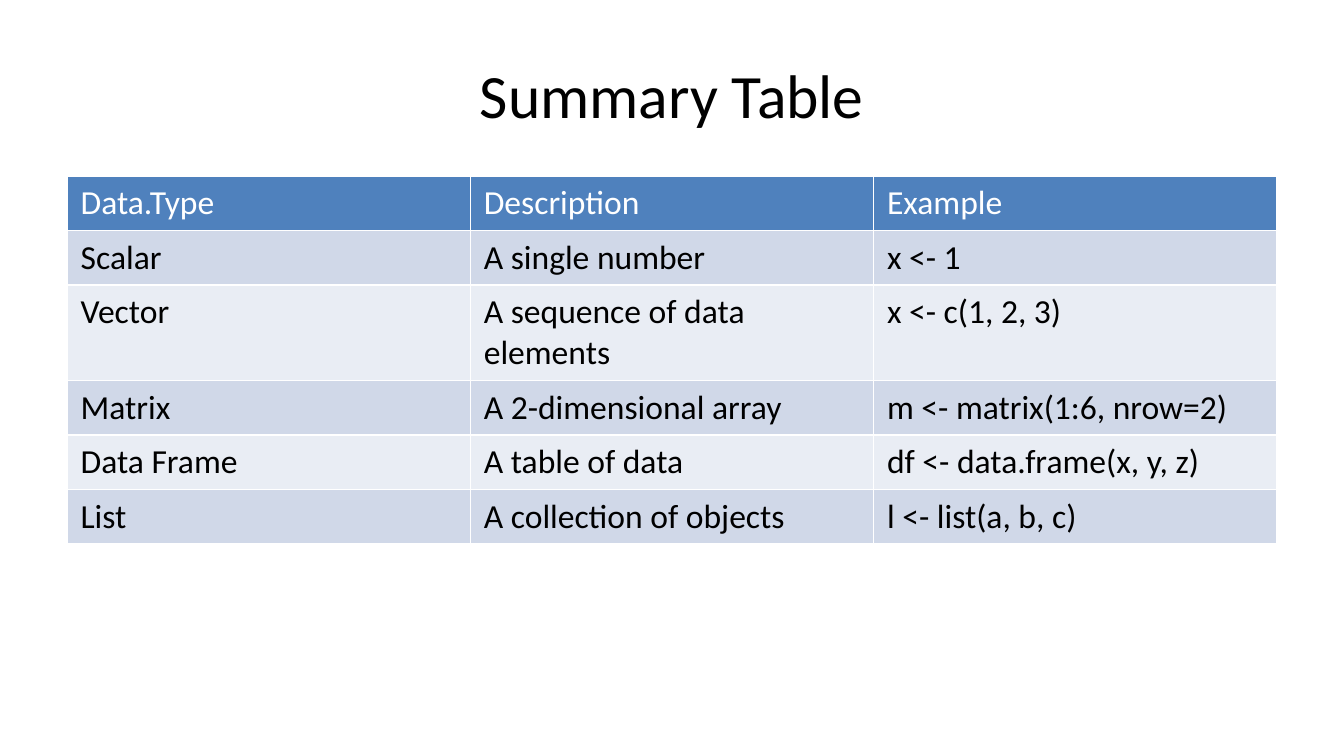
from dataclasses import dataclass

from pptx import Presentation
from pptx.dml.color import RGBColor
from pptx.enum.text import MSO_ANCHOR, PP_ALIGN
from pptx.util import Inches, Pt


@dataclass(frozen=True)
class Theme:
    font: str = "Calibri"
    title_size: int = 33
    cell_size: int = 18
    ink: str = "000000"
    header_ink: str = "FFFFFF"
    header_fill: str = "4F81BD"
    band_fills: tuple = ("D0D8E8", "E9EDF4")


THEME = Theme()
ROWS = [
    ("Data.Type", "Description", "Example"),
    ("Scalar", "A single number", "x <- 1"),
    ("Vector", "A sequence of data elements", "x <- c(1, 2, 3)"),
    ("Matrix", "A 2-dimensional array", "m <- matrix(1:6, nrow=2)"),
    ("Data Frame", "A table of data", "df <- data.frame(x, y, z)"),
    ("List", "A collection of objects", "l <- list(a, b, c)"),
]
LINE_HEIGHT = 0.3
ROW_PADDING = 0.1
TWO_LINE_ROW = 2


def format_text(frame, size, color):
    for para in frame.paragraphs:
        for span in para.runs:
            span.font.name = THEME.font
            span.font.size = Pt(size)
            span.font.bold = False
            span.font.color.rgb = RGBColor.from_string(color)


deck = Presentation()
deck.slide_width = Inches(10)
deck.slide_height = Inches(10 * 9 / 16)
page = deck.slides.add_slide(deck.slide_layouts[5])

title = page.shapes.title
title.left, title.top = Inches(0.5), Inches(0.23)
title.width, title.height = Inches(9), Inches(0.94)
title.text_frame.text = "Summary Table"
title.text_frame.vertical_anchor = MSO_ANCHOR.MIDDLE
title.text_frame.paragraphs[0].alignment = PP_ALIGN.CENTER
format_text(title.text_frame, THEME.title_size, THEME.ink)

# The default table style supplies the white rules between cells.
summary = page.shapes.add_table(
    len(ROWS), len(ROWS[0]), Inches(0.5), Inches(1.31), Inches(9), Inches(2.7)
).table
for row_index, texts in enumerate(ROWS):
    lines = 2 if row_index == TWO_LINE_ROW else 1
    summary.rows[row_index].height = Inches(lines * LINE_HEIGHT + ROW_PADDING)
    if row_index == 0:
        fill, ink = THEME.header_fill, THEME.header_ink
    else:
        fill, ink = THEME.band_fills[(row_index - 1) % 2], THEME.ink
    for column_index, text in enumerate(texts):
        cell = summary.cell(row_index, column_index)
        cell.text_frame.text = text
        cell.fill.solid()
        cell.fill.fore_color.rgb = RGBColor.from_string(fill)
        format_text(cell.text_frame, THEME.cell_size, ink)

deck.save("out.pptx")
